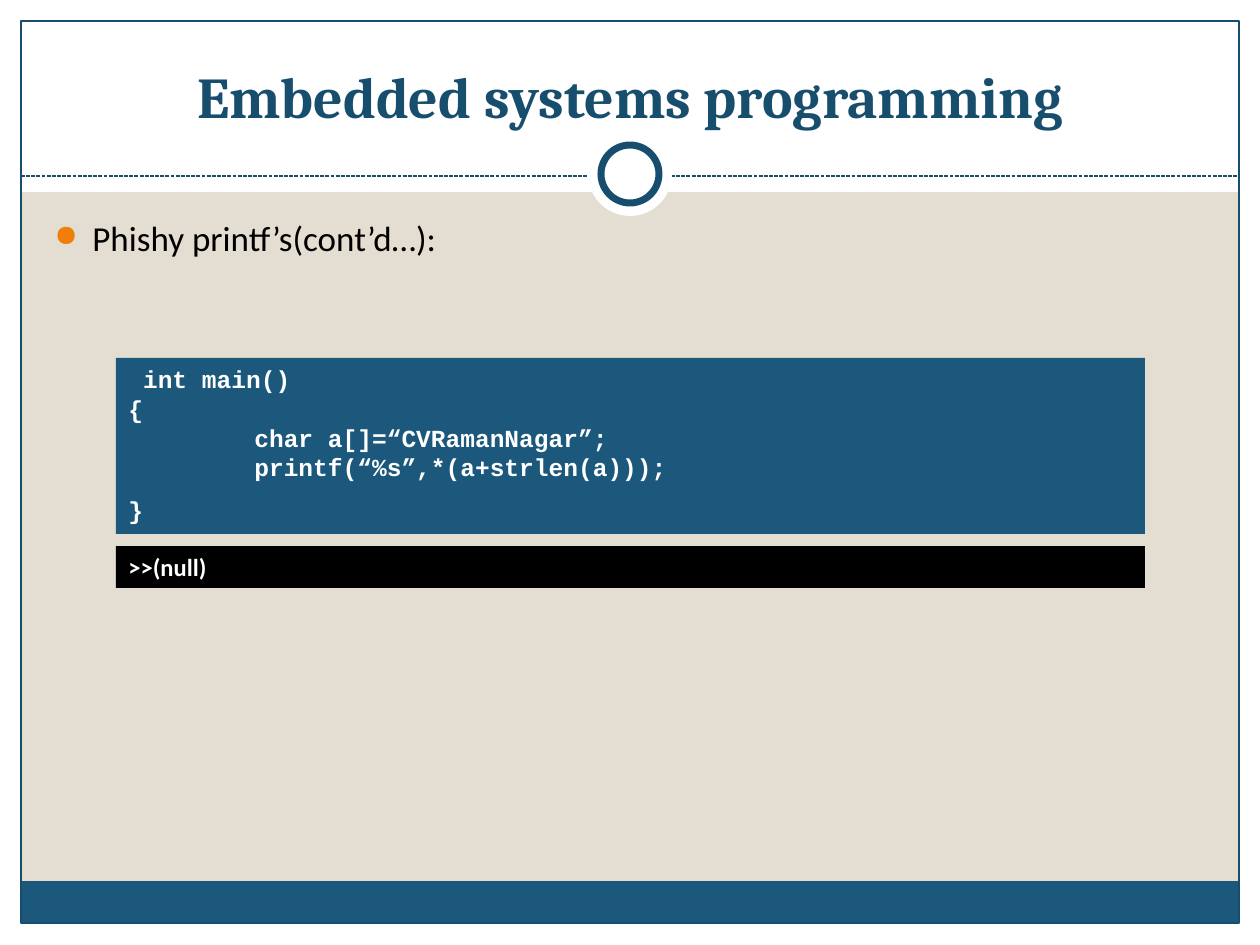
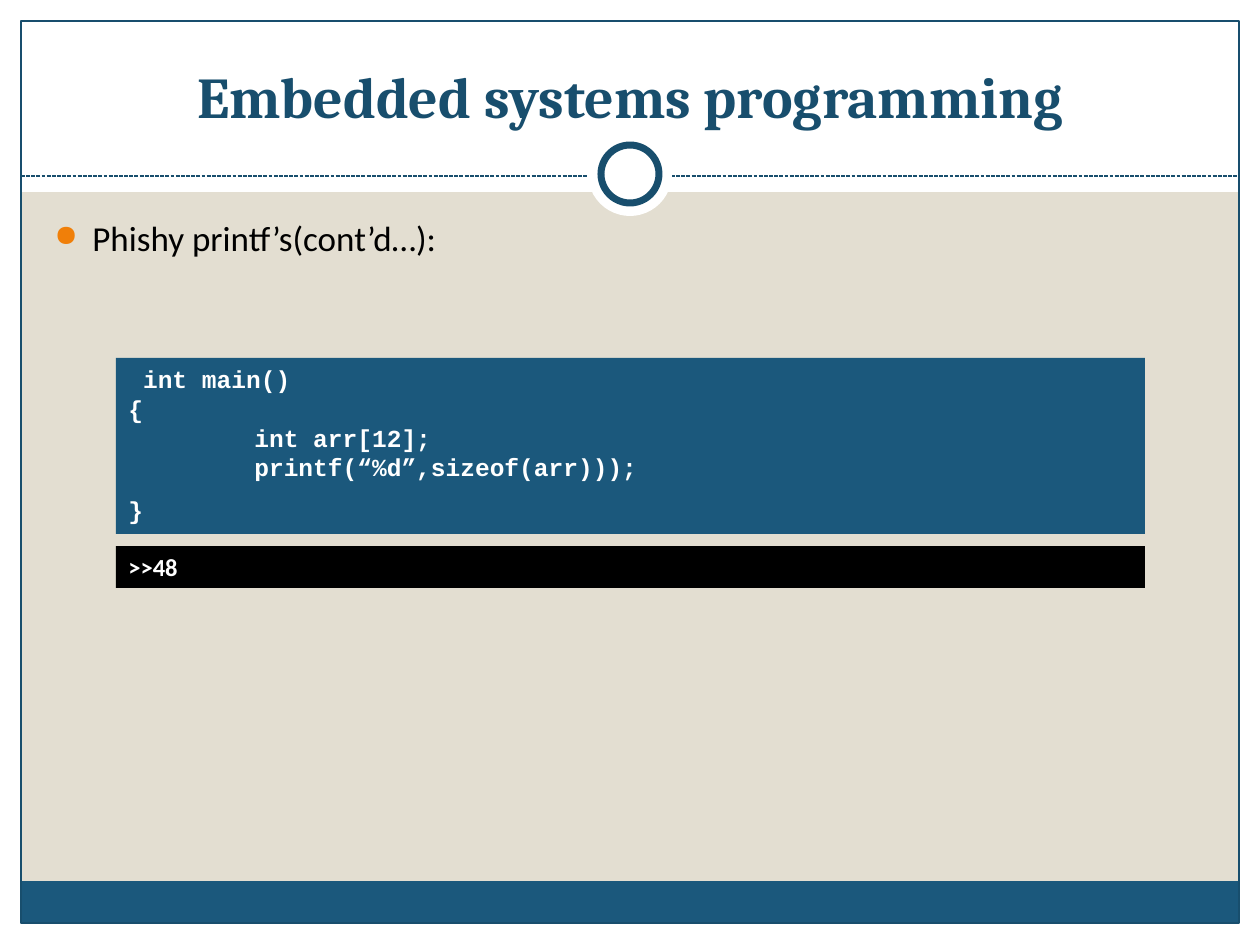
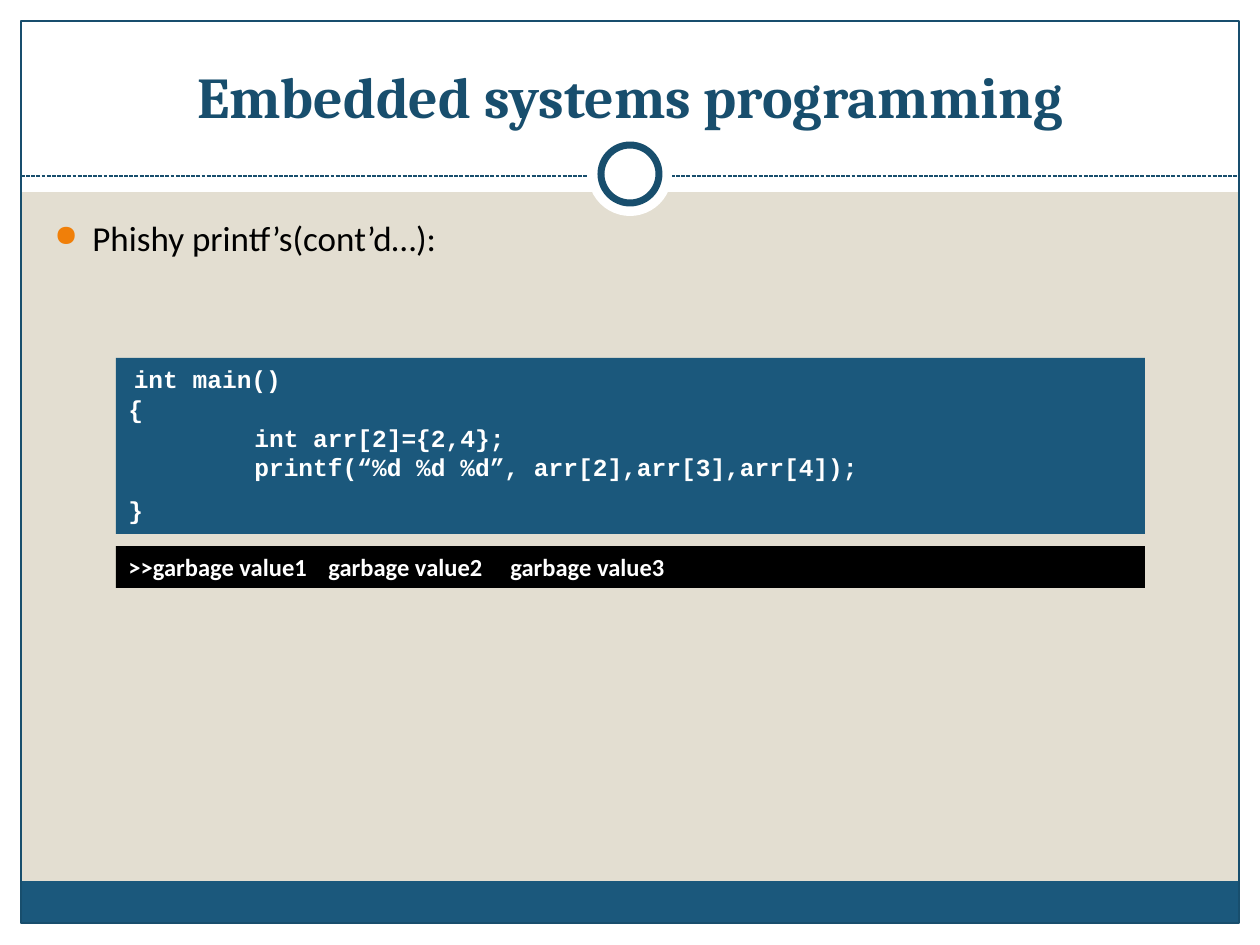
from lxml.etree import SubElement
from pptx import Presentation
from pptx.dml.color import RGBColor
from pptx.enum.dml import MSO_LINE
from pptx.enum.shapes import MSO_CONNECTOR, MSO_SHAPE
from pptx.enum.text import MSO_ANCHOR, MSO_AUTO_SIZE, PP_ALIGN
from pptx.oxml.ns import qn
from pptx.util import Emu, Pt

PX = 914400 / 126
COLORS = {"sand": "E3DED1", "white": "FFFFFF", "black": "000000",
          "blue": "1B587C", "navy": "184E6D", "orange": "F07F09"}
TITLE = "Embedded systems programming"
TOPIC = "Phishy printf’s(cont’d…):"

# Each example: font of the leading space, code lines, program output
EXAMPLES = [
    ("Courier New",
     [" int main()", "{", "\tchar a[]=“CVRamanNagar”;",
      "\tprintf(“%s”,*(a+strlen(a)));", "}"],
     ">>(null)"),
    ("Courier New",
     [" int main()", "{", "\tint arr[12];",
      "\tprintf(“%d”,sizeof(arr)));", "}"],
     ">>48"),
    ("Cambria",
     [" int main()", "{", "\tint arr[2]={2,4};",
      "\tprintf(“%d %d %d”, arr[2],arr[3],arr[4]);", "}"],
     ">>garbage value1\tgarbage value2\tgarbage value3"),
]

# Page furniture: shape, box in px, fill, line colour, line width
FURNITURE = [
    (MSO_SHAPE.RECTANGLE, (0, 924, 1260, 21), "white", None, 0),
    (MSO_SHAPE.RECTANGLE, (0, 0, 1260, 192), "white", None, 0),
    (MSO_SHAPE.RECTANGLE, (0, 0, 21, 945), "white", None, 0),
    (MSO_SHAPE.RECTANGLE, (1239, 0, 21, 945), "white", None, 0),
    (MSO_SHAPE.RECTANGLE, (21, 881, 1217, 43), "blue", None, 0),
    (MSO_SHAPE.RECTANGLE, (21, 21, 1218, 902), None, "navy", 0.75),
    (MSO_SHAPE.OVAL, (588, 132, 84, 84), "white", None, 0),
    (MSO_SHAPE.OVAL, (601, 145, 58, 58), "white", "navy", 4),
]


def add_box(slide, kind, box, fill, line=None, width=0):
    shape = slide.shapes.add_shape(kind, *[Emu(round(n * PX)) for n in box])
    shape.shadow.inherit = False
    if fill:
        shape.fill.solid()
        shape.fill.fore_color.rgb = RGBColor.from_string(COLORS[fill])
    else:
        shape.fill.background()
    if line:
        shape.line.color.rgb = RGBColor.from_string(COLORS[line])
        shape.line.width = Pt(width)
    else:
        shape.line.fill.background()
    return shape


def add_run(paragraph, text, font, size, color, bold=True):
    run = paragraph.add_run()
    run.text = text
    run.font.name = font
    run.font.size = Pt(size)
    run.font.bold = bold
    run.font.color.rgb = RGBColor.from_string(COLORS[color])


presentation = Presentation()
presentation.slide_width = Emu(round(1260 * PX))
presentation.slide_height = Emu(round(945 * PX))

for space_font, code_lines, output in EXAMPLES:
    slide = presentation.slides.add_slide(presentation.slide_layouts[5])
    slide.background.fill.solid()
    slide.background.fill.fore_color.rgb = RGBColor.from_string(COLORS["sand"])

    # Bands and frame, then the dashed rule under the ring
    for index, furniture in enumerate(FURNITURE):
        if index == 6:
            rule = slide.shapes.add_connector(
                MSO_CONNECTOR.STRAIGHT,
                *[Emu(round(n * PX)) for n in (21, 176, 1239, 176)])
            rule.line.color.rgb = RGBColor.from_string(COLORS["navy"])
            rule.line.width = Pt(0.75)
            rule.line.dash_style = MSO_LINE.SQUARE_DOT
            SubElement(rule._element.spPr, qn("a:effectLst"))
        add_box(slide, *furniture)

    # Title, brought in front of the white band
    title = slide.shapes.title
    slide.shapes._spTree.append(title._element)
    title.left, title.top, title.width, title.height = [
        Emu(round(n * PX)) for n in (42, 32, 1176, 104)]
    title.text_frame.auto_size = MSO_AUTO_SIZE.NONE
    title.text_frame.vertical_anchor = MSO_ANCHOR.BOTTOM
    paragraph = title.text_frame.paragraphs[0]
    paragraph.alignment = PP_ALIGN.CENTER
    add_run(paragraph, TITLE, "Cambria", 33, "navy")

    # Bulleted topic
    topic = slide.shapes.add_textbox(
        *[Emu(round(n * PX)) for n in (42, 210, 1172, 630)])
    topic.text_frame.word_wrap = True
    paragraph = topic.text_frame.paragraphs[0]
    paragraph.alignment = PP_ALIGN.JUSTIFY
    properties = paragraph._p.get_or_add_pPr()
    properties.set("marL", str(round(38 * PX)))
    properties.set("indent", str(round(-38 * PX)))
    bullet_color = SubElement(properties, qn("a:buClr"))
    SubElement(bullet_color, qn("a:srgbClr"), val=COLORS["orange"])
    SubElement(properties, qn("a:buSzPct"), val="85000")
    SubElement(properties, qn("a:buChar"), char="●")
    add_run(paragraph, TOPIC, "Calibri", 20, "black", bold=False)

    # Code panel and output panel: box, fill, font, lines, tab stops in px
    panels = [
        ((116, 358, 1029, 176), "blue", "Courier New", code_lines, [126]),
        ((116, 546, 1029, 42), "black", "Calibri", [output], [200, 382]),
    ]
    for box, fill, font, lines, stops in panels:
        panel = add_box(slide, MSO_SHAPE.RECTANGLE, box, fill)
        frame = panel.text_frame
        frame.word_wrap = True
        frame.auto_size = MSO_AUTO_SIZE.SHAPE_TO_FIT_TEXT
        frame.vertical_anchor = MSO_ANCHOR.TOP
        for index, line in enumerate(lines):
            paragraph = frame.add_paragraph() if index else frame.paragraphs[0]
            paragraph.alignment = PP_ALIGN.LEFT
            if "\t" in line:
                tabs = SubElement(paragraph._p.get_or_add_pPr(), qn("a:tabLst"))
                for stop in stops:
                    SubElement(tabs, qn("a:tab"), pos=str(round(stop * PX)), algn="l")
            if line == "}":
                paragraph.space_before = Pt(7.5)
            if line.startswith(" "):
                add_run(paragraph, " ", space_font, 14, "white")
                line = line[1:]
            add_run(paragraph, line, font, 14, "white")

presentation.save("out.pptx")
